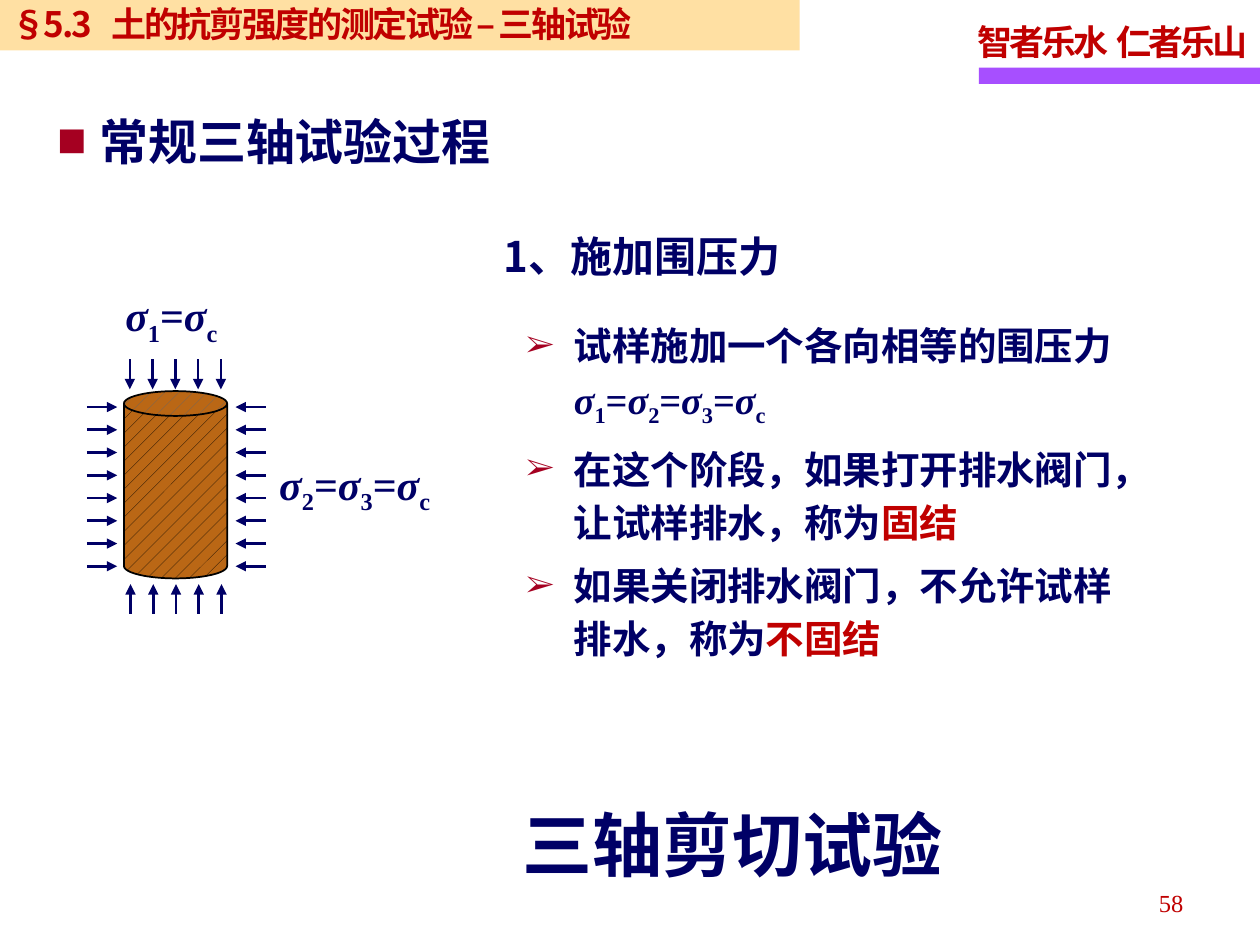
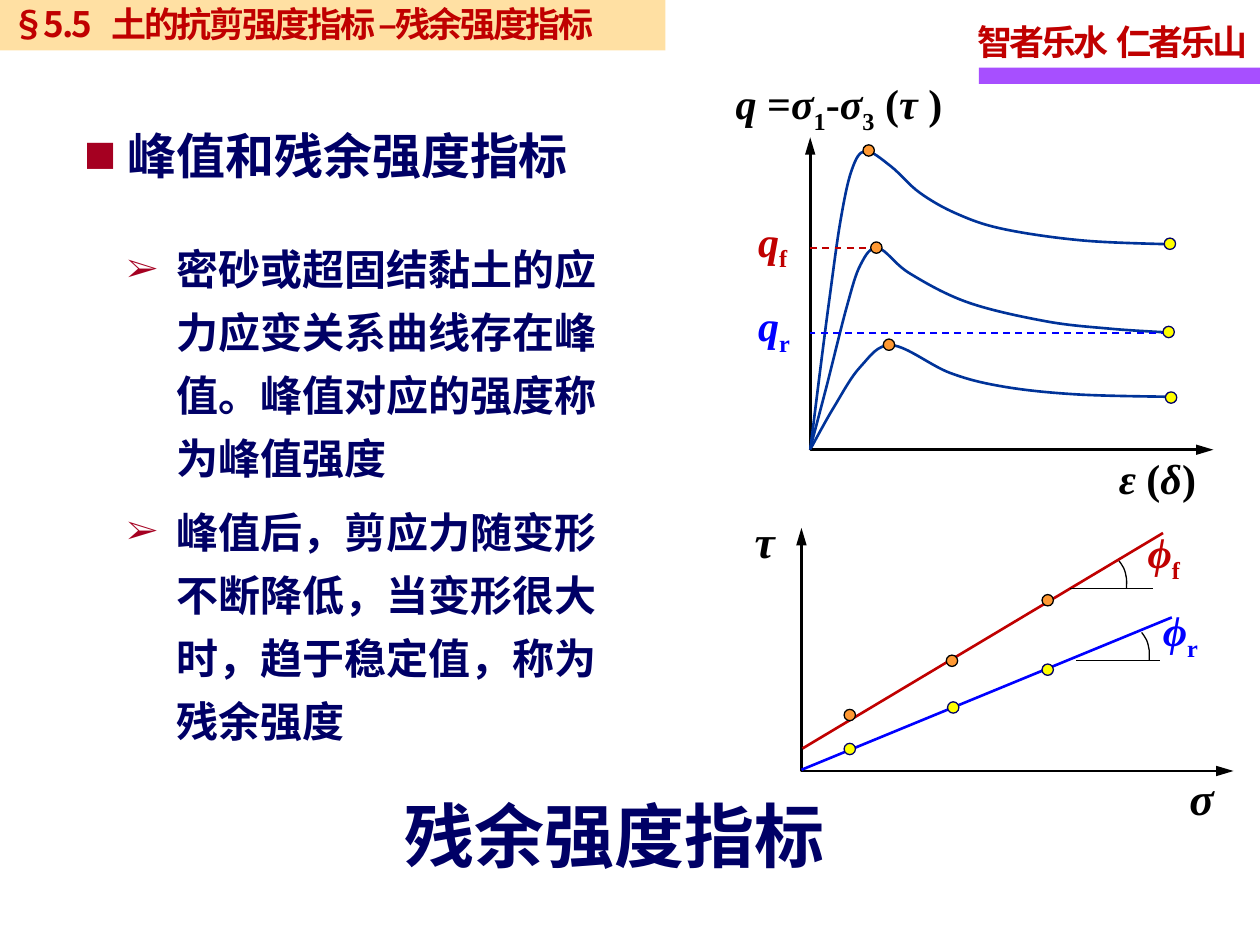
"""Build two soil mechanics slides on triaxial tests and residual strength."""
from itertools import groupby

from lxml.etree import SubElement
from pptx import Presentation
from pptx.dml.color import RGBColor
from pptx.enum.dml import MSO_LINE, MSO_PATTERN
from pptx.enum.shapes import MSO_CONNECTOR, MSO_SHAPE
from pptx.enum.text import MSO_ANCHOR, PP_ALIGN
from pptx.oxml.ns import qn
from pptx.util import Pt

NAVY = RGBColor(0x00, 0x00, 0x66)
RED = RGBColor(0xC0, 0x00, 0x00)
CRIMSON = RGBColor(0xA5, 0x00, 0x21)
BLUE = RGBColor(0x00, 0x00, 0xFF)
STEEL = RGBColor(0x00, 0x33, 0x99)
BLACK = RGBColor(0x00, 0x00, 0x00)
PURPLE = RGBColor(0xA7, 0x4F, 0xFF)
SAND = RGBColor(0xFF, 0xCC, 0x66)
BROWN = RGBColor(0xBA, 0x67, 0x15)
ORANGE = RGBColor(0xFF, 0x99, 0x33)
YELLOW = RGBColor(0xFF, 0xFF, 0x00)
SERIF, SANS = "Times New Roman", "Noto Sans CJK SC"
SYMBOLS = "σετδqϕ"

MOTTO = "智者乐水\t仁者乐山"
STEPS = [
    "试样施加一个各向相等的围压力σ_1=σ_2=σ_3=σ_c",
    "在这个阶段，如果打开排水阀门，让试样排水，称为{固结}",
    "如果关闭排水阀门，不允许试样排水，称为{不固结}",
]
POINTS = [
    "密砂或超固结黏土的应力应变关系曲线存在峰值。峰值对应的强度称为峰值强度",
    "峰值后，剪应力随变形不断降低，当变形很大时，趋于稳定值，称为残余强度",
]
SIGMAS = [
    ("σ_1=σ_c", (57.6, 157, 80.6, 41)),
    ("σ_2=σ_3=σ_c", (137.5, 253.4, 130.3, 41)),
]
LABELS = [
    ("ε (δ)", (632.2, 254.9, 59, 36.7), 24, BLACK),
    ("q =σ_1-σ_3 (τ )", (413.3, 41, 141.1, 36.7), 24, BLACK),
    ("τ", (424.1, 289.4, 41.8, 38.9), 26, BLACK),
    ("σ", (672.5, 436.3, 30.2, 38.9), 26, BLACK),
    ("ϕ_f", (648.7, 297.4, 34.6, 36.7), 24, RED),
    ("ϕ_r", (657.4, 342, 36.7, 36.7), 24, BLUE),
    ("q_f", (426.2, 119.5, 33.1, 36), 24, RED),
    ("q_r", (426.2, 167.8, 33.8, 36.7), 24, BLUE),
]
CURVES = [
    [(463, 256.3), (472.3, 221), (483.8, 175.7), (491.8, 151.2), (501.8, 141.8),
     (519.8, 156.2), (553, 172.8), (597.6, 183.6), (635, 187.9), (668.9, 190.1)],
    [(463.7, 255.6), (476.6, 232.6), (491.8, 209.5), (509.8, 197.3), (542.9, 213.1),
     (573.8, 221), (615.6, 225.4), (669.6, 226.8)],
    [(463, 257), (469.4, 205.9), (473.8, 172.1), (480.2, 126.7), (486.7, 97.2),
     (494.6, 86.4), (509, 95), (525.6, 110.2), (547.2, 122.4), (573.8, 131),
     (619.2, 137.5), (670.3, 139.7)],
]
AXES = [
    [(463, 78.5), (463, 257), (693.4, 257)],
    [(458, 301.7), (458, 440.6), (704.9, 440.6)],
]
ARC = [(643.7, 336.2), (643.7, 330.5), (642.2, 324.7), (639.4, 320.4)]
SHIFTS = [(0, 0), (13, 41)]
RAYS = [
    ((458.6, 427.7), (664.6, 304.6), RED, 1.5, False),
    ((458, 439.9), (669.6, 352.8), BLUE, 1.5, False),
    ((611.3, 336.2), (658.8, 336.2), BLACK, 0.75, False),
    ((614.9, 377.3), (663.1, 377.3), BLACK, 0.75, False),
    ((463, 141.8), (500.4, 141.8), RED, 1, True),
    ((667.4, 190.1), (463, 190.1), BLUE, 1, True),
]
DOTS = [
    (ORANGE, BLACK, [(496.4, 86), (500.8, 141.5), (508, 197),
                     (485.6, 408.6), (544, 377.6), (598.7, 343)]),
    (YELLOW, NAVY, [(668.5, 139.3), (667.8, 189.7), (669.2, 227.2),
                    (485.6, 428), (544.7, 404.3), (598.7, 382.7)]),
]


def split(words):
    """Yield runs: SYMBOLS are italic, _x is a subscript, braces mark red."""
    marks, sub, red = [], False, False
    for char in words:
        if char == "_":
            sub = True
        elif char in "{}":
            red = char == "{"
        else:
            marks.append((char, (char in SYMBOLS, sub, red)))
            sub = False
    for style, part in groupby(marks, key=lambda mark: mark[1]):
        yield "".join(char for char, _ in part), style


def text(slide, words, box=None, on=None, size=24, color=NAVY, font=SERIF, bold=True,
         align=PP_ALIGN.LEFT, anchor=MSO_ANCHOR.TOP, wrap=True, inset=(7.2, 3.6),
         line=1.0, before=0, after=0, bullet=None, scale=100, hang=0, tab=None, track=0):
    """Write one or more paragraphs in a new box or on a given shape."""
    shape = on or slide.shapes.add_textbox(*map(Pt, box))
    frame = shape.text_frame
    frame.word_wrap, frame.vertical_anchor = wrap, anchor
    frame.margin_left = frame.margin_right = Pt(inset[0])
    frame.margin_top = frame.margin_bottom = Pt(inset[1])
    for i, item in enumerate([words] if isinstance(words, str) else words):
        para = frame.add_paragraph() if i else frame.paragraphs[0]
        props = para._p.get_or_add_pPr()
        if bullet:
            props.set("marL", str(Pt(hang)))
            props.set("indent", str(-Pt(hang)))
            tint = SubElement(props, qn("a:buClr"))
            SubElement(tint, qn("a:srgbClr"), val=str(CRIMSON))
            SubElement(props, qn("a:buSzPct"), val=str(scale * 1000))
            SubElement(props, qn("a:buFont"), typeface=SERIF)
            SubElement(props, qn("a:buChar"), char=bullet)
        if tab:
            stops = SubElement(props, qn("a:tabLst"))
            SubElement(stops, qn("a:tab"), pos=str(Pt(tab)), algn="l")
        para.alignment, para.line_spacing = align, line
        para.space_before, para.space_after = Pt(before if i else 0), Pt(after)
        for part, (slant, sub, red) in split(item):
            run = para.add_run()
            run.text = part
            face = run.font
            face.name, face.size, face.bold, face.italic = font, Pt(size), bold, slant
            face.color.rgb = RED if red else color
            look = run._r.get_or_add_rPr()
            SubElement(look, qn("a:ea"), typeface=SANS)
            if sub:
                look.set("baseline", "-25000")
            if track:
                look.set("spc", str(round(track * 100)))


def block(slide, kind, box, fill=None, edge=None, width=0.75):
    """Add a preset shape."""
    shape = slide.shapes.add_shape(kind, *map(Pt, box))
    shape.shadow.inherit = False
    if fill is not None:
        shape.fill.solid()
        shape.fill.fore_color.rgb = fill
    if edge is None:
        shape.line.fill.background()
    else:
        stroke(shape, edge, width)
    return shape


def stroke(shape, color, width, ends=(), dash=False, reach="med"):
    """Set the outline, its dash and its arrowheads."""
    shape.line.color.rgb, shape.line.width = color, Pt(width)
    if dash:
        shape.line.dash_style = MSO_LINE.DASH
    for end in ends:
        SubElement(shape.line._get_or_add_ln(), qn("a:" + end), type="triangle", len=reach)


def ray(slide, start, stop, color=NAVY, width=1.5, dash=False, ends=()):
    """Draw a straight line."""
    link = slide.shapes.add_connector(MSO_CONNECTOR.STRAIGHT, *map(Pt, (*start, *stop)))
    stroke(link, color, width, ends, dash)
    SubElement(link._element.spPr, qn("a:effectLst"))


def trace(slide, spots, color, width, ends=(), curved=True):
    """Draw an open outline through the given spots."""
    spots = [(Pt(x), Pt(y)) for x, y in spots]
    pen = slide.shapes.build_freeform(*spots[0])
    pen.add_line_segments(spots[1:], close=False)
    shape = pen.convert_to_shape()
    shape.shadow.inherit = False
    shape.fill.background()
    stroke(shape, color, width, ends, reach="lg")
    if curved:
        bend(shape)


def bend(shape):
    """Turn the straight segments of an outline into one smooth curve."""
    track = next(shape._element.iter(qn("a:path")))
    knots = [(int(pt.get("x")), int(pt.get("y"))) for pt in track.iter(qn("a:pt"))]
    for part in track.findall(qn("a:lnTo")):
        track.remove(part)
    ring = [knots[0], *knots, knots[-1]]
    for a, b, c, d in zip(ring, ring[1:], ring[2:], ring[3:]):
        lead = [q + (r - p) / 6 for p, q, r in zip(a, b, c)]
        trail = [r - (s - q) / 6 for q, r, s in zip(b, c, d)]
        curve = SubElement(track, qn("a:cubicBezTo"))
        for x, y in (lead, trail, c):
            SubElement(curve, qn("a:pt"), x=str(round(x)), y=str(round(y)))


def page(deck, title, width):
    """Add a slide with the motto and the title band."""
    slide = deck.slides.add_slide(deck.slide_layouts[6])
    block(slide, MSO_SHAPE.RECTANGLE, (559.4, 38.7, 160.6, 9.2), PURPLE)
    text(slide, MOTTO, (551.5, 4.4, 170, 35.3), size=20, color=RED, wrap=False,
         line=1.15, tab=79.4, track=-1.7)
    band = block(slide, MSO_SHAPE.RECTANGLE, (-0.7, 0, width, 28.8), SAND)
    tint = band._element.spPr.find(qn("a:solidFill"))[0]
    SubElement(tint, qn("a:alpha"), val="60000")
    text(slide, title, on=band, size=20, color=RED, font=SANS,
         inset=(7.2, 1.2), tab=57.4, track=-1.4)
    return slide


def triaxial(deck):
    """Build the slide on the triaxial test."""
    slide = page(deck, "§5.3\t土的抗剪强度的测定试验 – 三轴试验", 457.6)
    text(slide, "58", (515.5, 500, 167.8, 28.8), size=14, color=RED, bold=False,
         align=PP_ALIGN.RIGHT, anchor=MSO_ANCHOR.MIDDLE, line=1.15)
    text(slide, "1、施加围压力", (282.2, 124.6, 185, 39.6), font=SANS,
         inset=(5.8, 2.9), line=1.15)
    gap = 13
    sides = [((49.7, 232.6), (67, 232.6), (0, gap), 8),
             ((151.9, 232.6), (134.6, 232.6), (0, gap), 8),
             ((74.2, 205.2), (74.2, 222.5), (gap, 0), 5),
             ((74.6, 350.6), (74.6, 333.8), (gap, 0), 5)]
    for (x, y), (u, v), (dx, dy), count in sides:
        for i in range(count):
            ray(slide, (x + i * dx, y + i * dy), (u + i * dx, v + i * dy),
                ends=["tailEnd"])
    can = block(slide, MSO_SHAPE.CAN, (70.8, 223.5, 59, 107), edge=BLACK, width=1)
    can.adjustments[0] = 0.24
    can.fill.patterned()
    can.fill.pattern = MSO_PATTERN.PERCENT_10
    can.fill.fore_color.rgb, can.fill.back_color.rgb = BLACK, BROWN
    text(slide, "常规三轴试验过程", (32.7, 56.8, 272.2, 41), size=28, font=SANS,
         inset=(0, 0), line=1.2, bullet="■", hang=24)
    for words, box in SIGMAS:
        text(slide, words, box, align=PP_ALIGN.CENTER, line=1.15)
    text(slide, STEPS, (300.7, 179.8, 347.8, 195.8), size=22, inset=(0, 0), line=1.15,
         before=3, after=3, bullet="➢", scale=80, hang=27.2)
    text(slide, "三轴剪切试验", (187.9, 459.2, 461.5, 51.8), size=40, font="Arial",
         align=PP_ALIGN.CENTER, anchor=MSO_ANCHOR.MIDDLE, line=0.9)


def residual(deck):
    """Build the slide on residual strength."""
    slide = page(deck, "§5.5\t土的抗剪强度指标 –残余强度指标", 380.9)
    text(slide, "峰值和残余强度指标", (40.8, 61.2, 325.4, 48.2), size=28, font=SANS,
         line=1.2, bullet="■", scale=110, hang=25)
    for axis in AXES:
        trace(slide, axis, BLACK, 1.5, ["headEnd", "tailEnd"], curved=False)
    for knots in CURVES:
        trace(slide, knots, STEEL, 1.5)
    for dx, dy in SHIFTS:
        trace(slide, [(x + dx, y + dy) for x, y in ARC], BLACK, 0.75)
    for start, stop, color, width, dash in RAYS:
        ray(slide, start, stop, color, width, dash)
    for words, box, size, color in LABELS:
        text(slide, words, box, size=size, color=color, wrap=False)
    side = 6.5
    for fill, edge, spots in DOTS:
        for x, y in spots:
            block(slide, MSO_SHAPE.OVAL, (x - side / 2, y - side / 2, side, side), fill, edge)
    text(slide, POINTS, (65.5, 128.5, 301, 303.8), line=1.25, before=6,
         bullet="➢", scale=80, hang=28)
    text(slide, "残余强度指标", (224.1, 449.3, 355.7, 55.4), size=40,
         anchor=MSO_ANCHOR.MIDDLE)


def main():
    """Build and save the deck."""
    deck = Presentation()
    deck.slide_width, deck.slide_height = Pt(720), Pt(540)
    triaxial(deck)
    residual(deck)
    deck.save("out.pptx")


if __name__ == "__main__":
    main()
